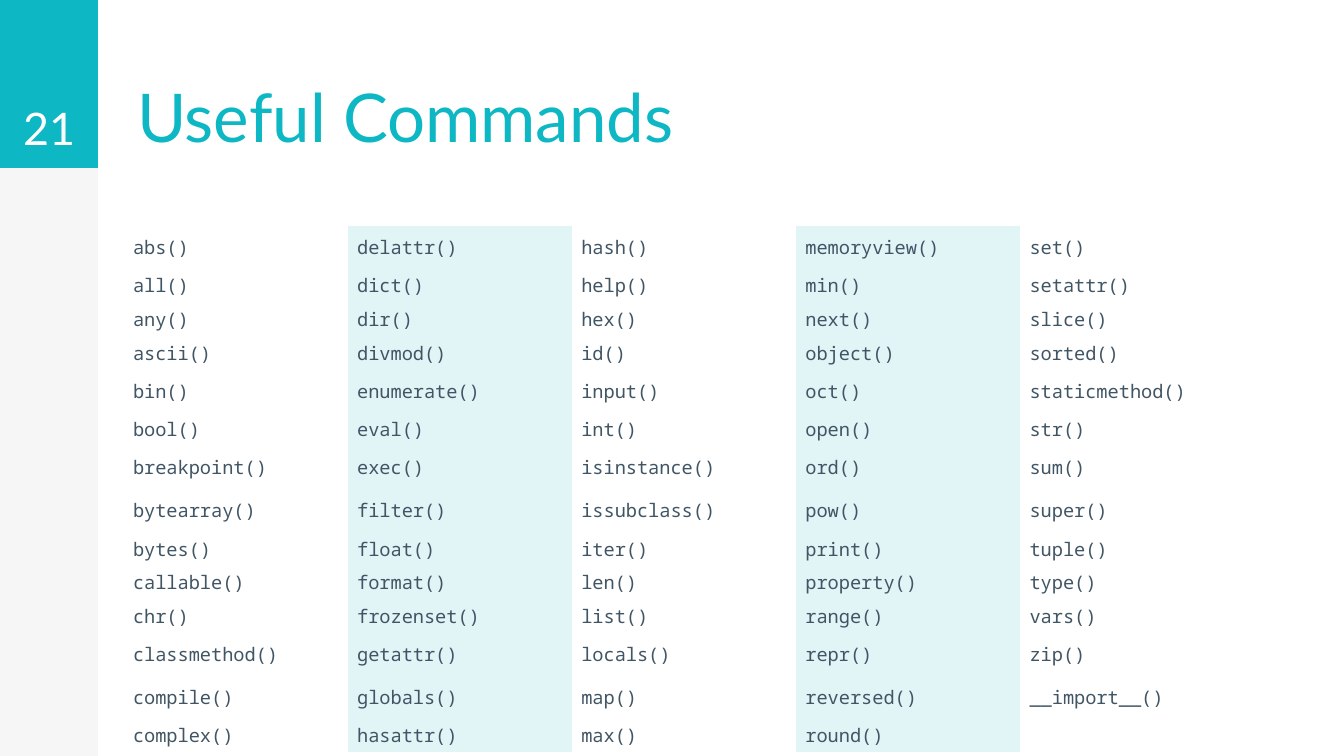
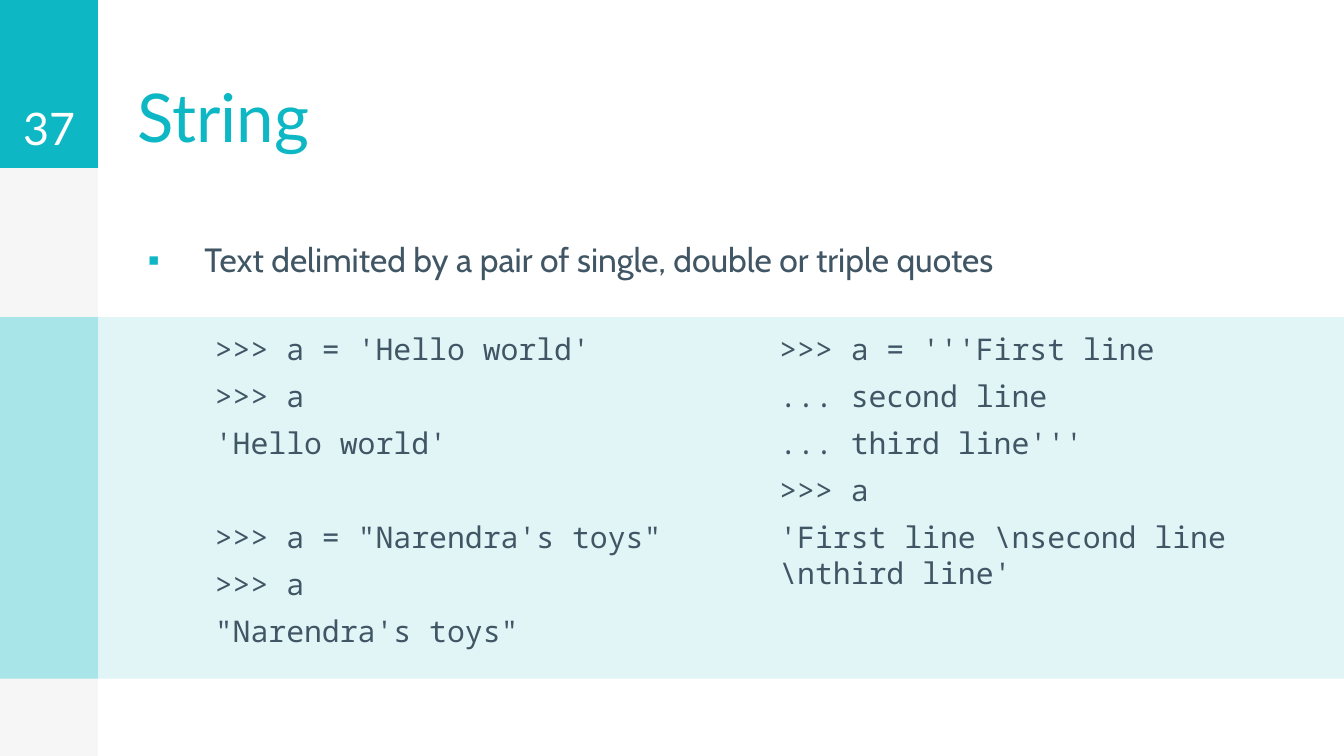
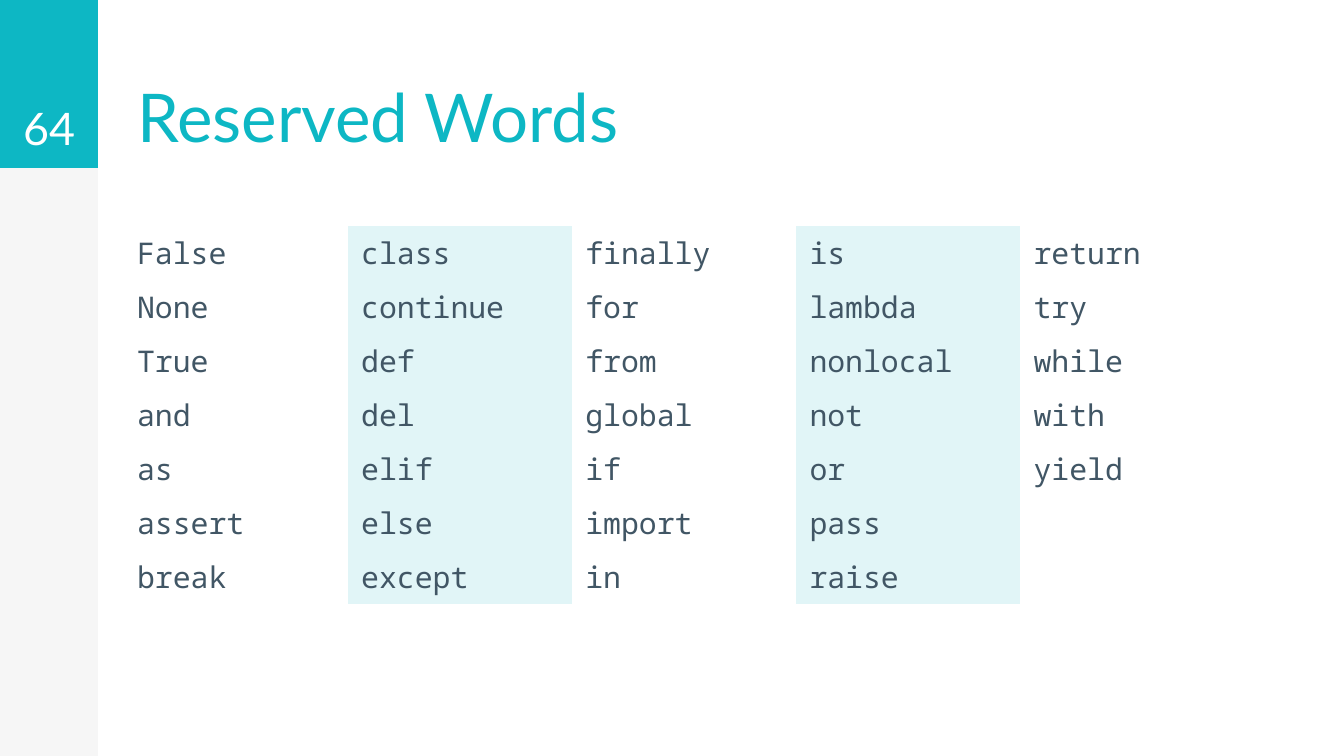
from dataclasses import dataclass

from lxml import etree
from pptx import Presentation
from pptx import util as u
from pptx.dml import color
from pptx.enum import shapes, text
from pptx.oxml import ns


@dataclass(frozen=True)
class Theme:
    teal: str = "0DB7C4"
    aqua: str = "A7E5E9"
    pale: str = "E1F5F7"
    gray: str = "F6F6F6"
    ink: str = "415665"
    white: str = "FFFFFF"
    heading_font: str = "Lato"
    body_font: str = "Cabin"
    code_font: str = "Noto Sans Mono"
    title_size: int = 36
    number_size: int = 24
    body_size: int = 18
    code_size: int = 16
    small_code_size: int = 10


THEME = Theme()
SLIDE_WIDTH = 10
SLIDE_HEIGHT = SLIDE_WIDTH * 9 / 16
SIDEBAR_WIDTH, HEADER_HEIGHT = 0.73, 1.25
CONTENT_LEFT, CONTENT_TOP, CONTENT_WIDTH = 0.92, 1.68, 8.34
CODE_TOP, CODE_HEIGHT, CODE_WIDTH, CODE_GAP = 2.36, 2.69, 4.15, 0.05
CODE_INDENT = 0.58
COLUMN_COUNT = 5
PLAIN_TABLE_STYLE = "{2D5ABB26-0587-4C30-8999-92F81FD0307C}"

COMMANDS = """
abs() all() any() ascii() bin() bool() breakpoint() bytearray() bytes()
callable() chr() classmethod() compile() complex()
delattr() dict() dir() divmod() enumerate() eval() exec() filter() float()
format() frozenset() getattr() globals() hasattr()
hash() help() hex() id() input() int() isinstance() issubclass() iter()
len() list() locals() map() max()
memoryview() min() next() object() oct() open() ord() pow() print()
property() range() repr() reversed() round()
set() setattr() slice() sorted() staticmethod() str() sum() super() tuple()
type() vars() zip() __import__()
""".split()
TALL, SHORT = 0.32, 0.25
COMMAND_ROWS = [TALL, SHORT, SHORT, SHORT, TALL, SHORT, TALL, TALL,
                SHORT, SHORT, SHORT, TALL, TALL, SHORT]

RESERVED_WORDS = """
False None True and as assert break
class continue def del elif else except
finally for from global if import in
is lambda nonlocal not or pass raise
return try while with yield
""".split()
RESERVED_ROWS = [0.4] * 7

QUOTED_EXAMPLES = [
    [">>> a = 'Hello world'", ">>> a", "'Hello world'"],
    [">>> a = \"Narendra's toys\"", ">>> a", "\"Narendra's toys\""],
]
TRIPLE_EXAMPLES = [
    [">>> a = '''First line", "... second line", "... third line'''", ">>> a",
     r"'First line \nsecond line \nthird line'"],
]


def rgb(value):
    return color.RGBColor.from_string(value)


def add_run(paragraph, words, font, size, ink):
    run = paragraph.add_run()
    run.text = words
    run.font.name = font
    run.font.size = u.Pt(size)
    run.font.color.rgb = rgb(ink)


def place(shape, left, top, width, height):
    shape.left, shape.top = u.Inches(left), u.Inches(top)
    shape.width, shape.height = u.Inches(width), u.Inches(height)


def prepare_frame(shape, anchor):
    frame = shape.text_frame
    frame.word_wrap = True
    frame.auto_size = text.MSO_AUTO_SIZE.NONE
    frame.vertical_anchor = anchor
    frame.margin_left = frame.margin_right = u.Inches(0.1)
    frame.margin_top = frame.margin_bottom = u.Inches(0.1)
    return frame


def add_text_box(slide, left, top, width, height, anchor):
    box = slide.shapes.add_textbox(0, 0, 0, 0)
    place(box, left, top, width, height)
    return prepare_frame(box, anchor)


def add_band(slide, left, top, width, height, fill):
    band = slide.shapes.add_shape(shapes.MSO_SHAPE.RECTANGLE, 0, 0, 0, 0)
    place(band, left, top, width, height)
    band.shadow.inherit = False
    band.fill.solid()
    band.fill.fore_color.rgb = rgb(fill)
    band.line.fill.background()
    return band


def add_master_bands(presentation, slide):
    bands = [
        add_band(slide, 0, 0, SIDEBAR_WIDTH, SLIDE_HEIGHT, THEME.gray),
        add_band(slide, 0, 0, SIDEBAR_WIDTH, HEADER_HEIGHT, THEME.teal),
    ]
    master_tree = presentation.slide_master.shapes._spTree
    for position, band in enumerate(bands, start=2):
        master_tree.insert(position, band._element)


def add_titled_slide(presentation, layout_name, title, number):
    layout = presentation.slide_layouts.get_by_name(layout_name)
    slide = presentation.slides.add_slide(layout)
    place(slide.shapes.title, CONTENT_LEFT, 0.01, CONTENT_WIDTH, HEADER_HEIGHT)
    frame = prepare_frame(slide.shapes.title, text.MSO_ANCHOR.BOTTOM)
    paragraph = frame.paragraphs[0]
    paragraph.alignment = text.PP_ALIGN.LEFT
    add_run(paragraph, title, THEME.heading_font, THEME.title_size, THEME.teal)

    frame = add_text_box(slide, 0, 0, SIDEBAR_WIDTH, HEADER_HEIGHT,
                         text.MSO_ANCHOR.BOTTOM)
    paragraph = frame.paragraphs[0]
    paragraph.alignment = text.PP_ALIGN.CENTER
    add_run(paragraph, str(number), THEME.heading_font, THEME.number_size,
            THEME.white)
    return slide


def fill_bullet(slide, words):
    body = slide.placeholders[1]
    place(body, CONTENT_LEFT, CONTENT_TOP, CONTENT_WIDTH, 3.71)
    paragraph = prepare_frame(body, text.MSO_ANCHOR.TOP).paragraphs[0]
    paragraph.space_before = u.Pt(6)
    properties = paragraph._p.get_or_add_pPr()
    properties.set("marL", str(u.Inches(0.5)))
    properties.set("indent", str(u.Inches(-0.42)))
    bullet_color = etree.SubElement(properties, ns.qn("a:buClr"))
    etree.SubElement(bullet_color, ns.qn("a:srgbClr"), val=THEME.teal)
    etree.SubElement(properties, ns.qn("a:buChar"), char="▪")
    add_run(paragraph, words, THEME.body_font, THEME.body_size, THEME.ink)


def add_code(slide, left, examples):
    frame = add_text_box(slide, left, CODE_TOP, CODE_WIDTH, CODE_HEIGHT,
                         text.MSO_ANCHOR.TOP)
    paragraph = frame.paragraphs[0]
    for example_index, example in enumerate(examples):
        for line_index, line in enumerate(example):
            if example_index or line_index:
                paragraph = frame.add_paragraph()
            starts_later_example = example_index and not line_index
            paragraph.space_before = u.Pt(31 if starts_later_example else 6)
            paragraph.level = 1
            properties = paragraph._p.get_or_add_pPr()
            properties.set("marL", str(u.Inches(CODE_INDENT)))
            properties.set("indent", "0")
            add_run(paragraph, line, THEME.code_font, THEME.code_size, THEME.ink)


def add_word_table(slide, words, row_heights, size, margins=(0.1, 0.05)):
    row_count = len(row_heights)
    table = slide.shapes.add_table(
        row_count, COLUMN_COUNT, u.Inches(CONTENT_LEFT), u.Inches(CONTENT_TOP),
        u.Inches(CONTENT_WIDTH), u.Inches(sum(row_heights))).table
    table.first_row = table.horz_banding = False
    table._tbl.tblPr.find(ns.qn("a:tableStyleId")).text = PLAIN_TABLE_STYLE
    for row, height in zip(table.rows, row_heights):
        row.height = u.Inches(height)

    side, edge = (u.Inches(margin) for margin in margins)
    anchor = text.MSO_ANCHOR.MIDDLE if size < THEME.code_size else text.MSO_ANCHOR.TOP
    for index in range(row_count * COLUMN_COUNT):
        column, row = divmod(index, row_count)
        cell = table.cell(row, column)
        cell.margin_left = cell.margin_right = side
        cell.margin_top = cell.margin_bottom = edge
        cell.vertical_anchor = anchor
        if column % 2:
            cell.fill.solid()
            cell.fill.fore_color.rgb = rgb(THEME.pale)
        else:
            cell.fill.background()
        paragraph = cell.text_frame.paragraphs[0]
        if index < len(words):
            add_run(paragraph, words[index], THEME.code_font, size, THEME.ink)
        else:
            etree.SubElement(paragraph._p, ns.qn("a:endParaRPr"),
                             sz=str(size * 100))


def main():
    presentation = Presentation()
    presentation.slide_width = u.Inches(SLIDE_WIDTH)
    presentation.slide_height = u.Inches(SLIDE_HEIGHT)

    slide = add_titled_slide(presentation, "Title Only", "Useful Commands", 21)
    add_master_bands(presentation, slide)
    add_word_table(slide, COMMANDS, COMMAND_ROWS, THEME.small_code_size,
                   margins=(0.07, 0.03))

    slide = add_titled_slide(presentation, "Title and Content", "String", 37)
    fill_bullet(slide, "Text delimited by a pair of single, double or triple quotes")
    add_band(slide, SIDEBAR_WIDTH, CODE_TOP, SLIDE_WIDTH - SIDEBAR_WIDTH,
             CODE_HEIGHT, THEME.pale)
    add_band(slide, 0, CODE_TOP, SIDEBAR_WIDTH, CODE_HEIGHT, THEME.aqua)
    add_code(slide, CONTENT_LEFT, QUOTED_EXAMPLES)
    add_code(slide, CONTENT_LEFT + CODE_WIDTH + CODE_GAP, TRIPLE_EXAMPLES)

    slide = add_titled_slide(presentation, "Title Only", "Reserved Words", 64)
    add_word_table(slide, RESERVED_WORDS, RESERVED_ROWS, THEME.code_size)

    presentation.save("out.pptx")


if __name__ == "__main__":
    main()
